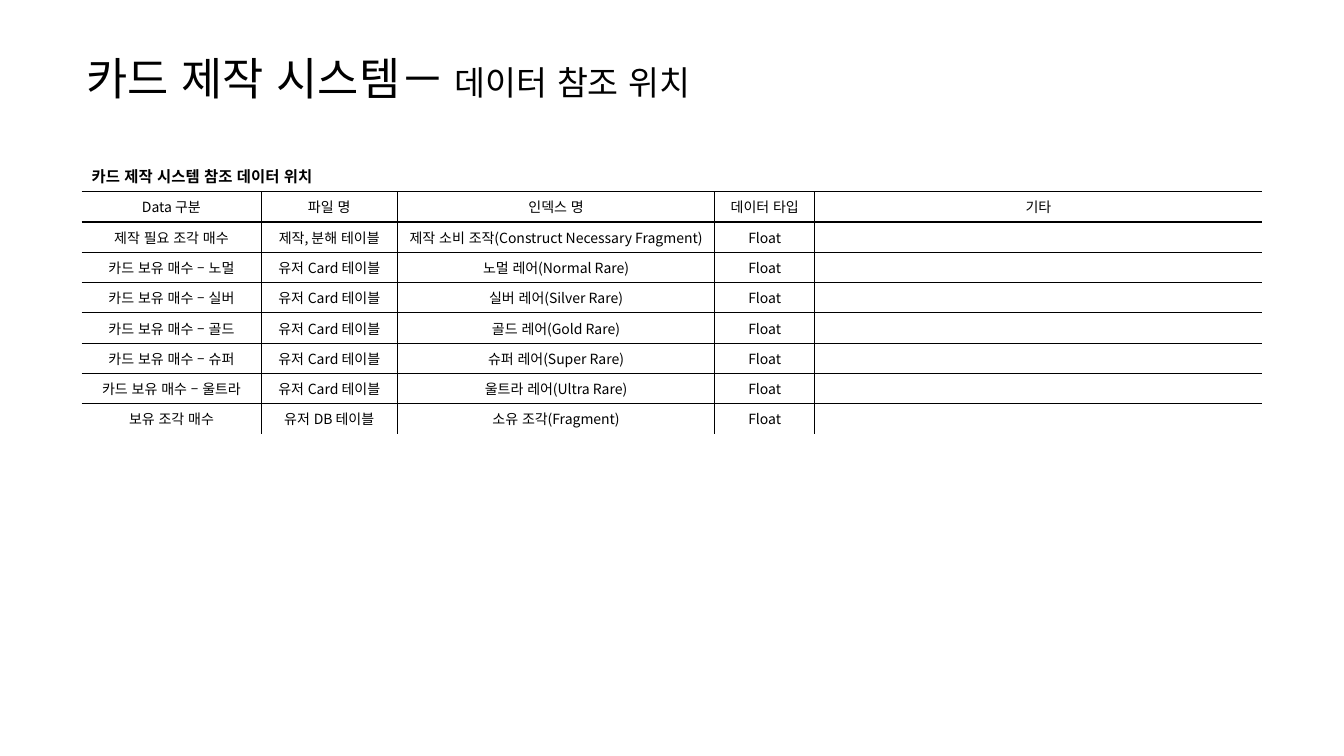
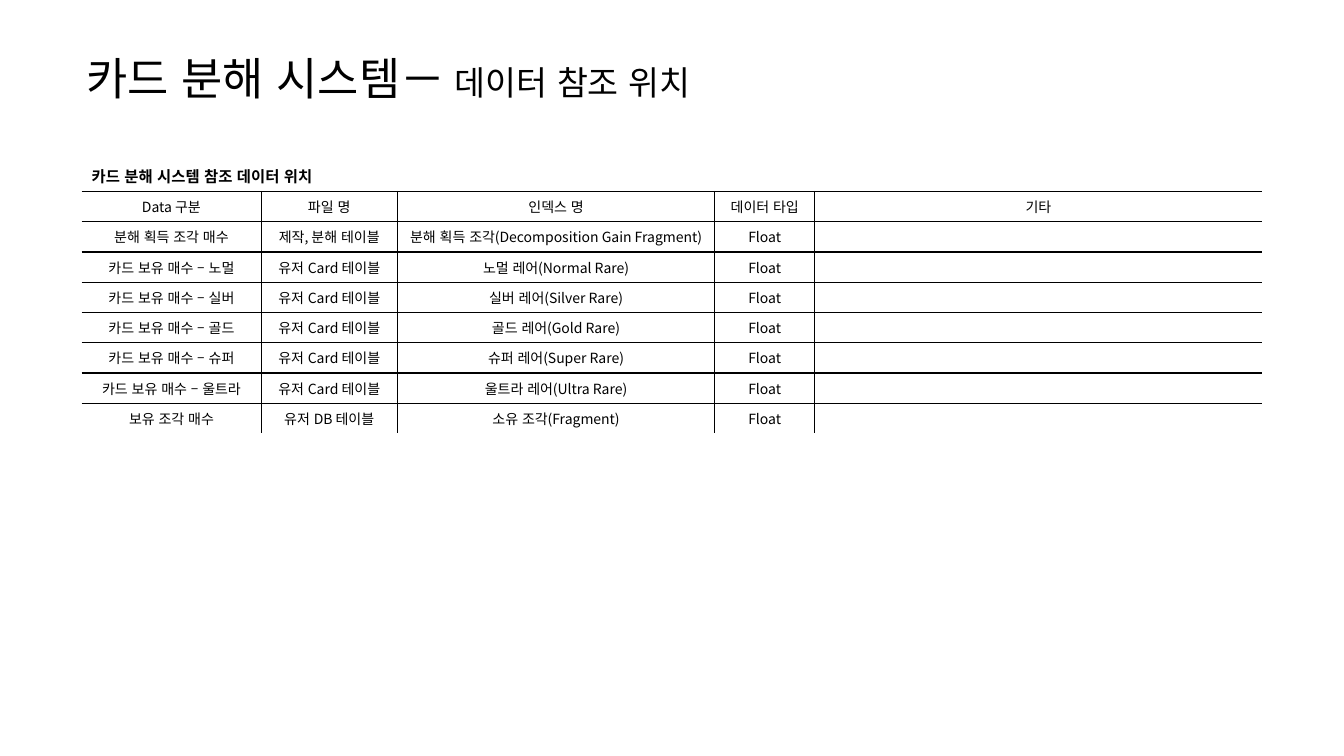
from lxml import etree
from pptx import Presentation
from pptx.dml.color import RGBColor
from pptx.enum import text as t
from pptx.enum.lang import MSO_LANGUAGE_ID
from pptx.oxml import ns
from pptx.util import Inches, Pt

BLACK = RGBColor(0, 0, 0)
WHITE = RGBColor(255, 255, 255)
FONT = "Noto Sans CJK KR"

TITLE_BOX = (0.76, 0.42, 11.81, 0.69)
TABLE_BOX = (0.81, 1.58, 11.71, 2.72)
COLUMN_WIDTHS = (1.78, 1.35, 3.15, 0.99, 4.44)
CAPTION_HEIGHT = 0.32

TITLE = {"size": Pt(32), "bold": False}
SUBTITLE = {"size": Pt(24), "bold": False}
CAPTION = {"size": Pt(11), "bold": True}
BODY = {"size": Pt(10), "bold": False}

HEADINGS = ("Data 구분", "파일 명", "인덱스 명", "데이터 타입", "기타")
GRADES = (("노멀", "Normal"), ("실버", "Silver"), ("골드", "Gold"),
          ("슈퍼", "Super"), ("울트라", "Ultra"))

# Each system: name, and the data and index of its first row
SYSTEMS = (
    ("카드 제작 시스템", "제작 필요 조각 매수",
     "제작 소비 조작(Construct Necessary Fragment)"),
    ("카드 분해 시스템", "분해 획득 조각 매수",
     "분해 획득 조각(Decomposition Gain Fragment)"),
)


def add_text(paragraph, words, style):
    """Add a run in the shared font, or size the paragraph if it is empty."""
    if not words:
        etree.SubElement(paragraph._p, ns.qn("a:endParaRPr"),
                         sz=str(style["size"].centipoints))
        return
    run = paragraph.add_run()
    run.text = words
    font = run.font
    values = {"name": FONT, "language_id": MSO_LANGUAGE_ID.KOREAN, **style}
    for name, value in values.items():
        setattr(font, name, value)
    font.color.rgb = BLACK
    etree.SubElement(run._r.get_or_add_rPr(), ns.qn("a:ea"), typeface=FONT)


def set_borders(cell, visible_sides):
    """Draw 1 pt lines on the given sides (from L, R, T, B), none elsewhere."""
    properties = cell._tc.get_or_add_tcPr()
    for side in "LRTB":
        line = etree.SubElement(properties, ns.qn(f"a:ln{side}"),
                                w=str(Pt(1)))
        if side in visible_sides:
            fill = etree.SubElement(line, ns.qn("a:solidFill"))
            etree.SubElement(fill, ns.qn("a:srgbClr"), val=str(BLACK))
        else:
            etree.SubElement(line, ns.qn("a:noFill"))


def inner_sides(row, column, last_row, last_column):
    """Name the sides that lie inside the table; the caption has no columns."""
    rules = {"L": row > 0 and column > 0,
             "R": row > 0 and column < last_column,
             "T": row > 0,
             "B": row < last_row}
    return [side for side, drawn in rules.items() if drawn]


def add_title(slide, box, system):
    shape = slide.shapes.add_textbox(*map(Inches, box))
    frame = shape.text_frame
    frame.word_wrap = True
    frame.vertical_anchor = t.MSO_ANCHOR.MIDDLE
    add_text(frame.paragraphs[0], f"{system}－", TITLE)
    add_text(frame.paragraphs[0], " 데이터 참조 위치", SUBTITLE)


def add_reference_table(slide, box, caption, rows):
    grid = [(caption,) + ("",) * (len(HEADINGS) - 1), HEADINGS, *rows]
    table = slide.shapes.add_table(len(grid), len(HEADINGS),
                                   *map(Inches, box)).table
    table.first_row = table.horz_banding = False
    for column, width in zip(table.columns, COLUMN_WIDTHS):
        column.width = Inches(width)
    row_height = (box[3] - CAPTION_HEIGHT) / (len(grid) - 1)

    for r, words in enumerate(grid):
        table.rows[r].height = Inches(row_height if r else CAPTION_HEIGHT)
        for c, word in enumerate(words):
            cell = table.cell(r, c)
            set_borders(cell, inner_sides(r, c, len(grid) - 1,
                                          len(words) - 1))
            cell.fill.background()
            paragraph = cell.text_frame.paragraphs[0]
            if r:
                cell.vertical_anchor = t.MSO_ANCHOR.MIDDLE
                paragraph.alignment = t.PP_ALIGN.CENTER
            add_text(paragraph, word, BODY if r else CAPTION)
    table.cell(0, 0).merge(table.cell(0, len(HEADINGS) - 1))


def add_system_slide(presentation, system, first_data, first_index):
    slide = presentation.slides.add_slide(presentation.slide_layouts[6])
    slide.background.fill.solid()
    slide.background.fill.fore_color.rgb = WHITE
    rows = [(first_data, "제작, 분해 테이블", first_index, "Float", "")]
    rows += [(f"카드 보유 매수 – {korean}", "유저 Card 테이블",
              f"{korean} 레어({english} Rare)", "Float", "")
             for korean, english in GRADES]
    rows.append(("보유 조각 매수", "유저 DB 테이블", "소유 조각(Fragment)",
                 "Float", ""))
    add_reference_table(slide, TABLE_BOX, f"{system} 참조 데이터 위치", rows)
    add_title(slide, TITLE_BOX, system)


def main():
    presentation = Presentation()
    presentation.slide_width = Inches(13.33)
    presentation.slide_height = Inches(7.5)
    for system in SYSTEMS:
        add_system_slide(presentation, *system)
    presentation.save("out.pptx")


if __name__ == "__main__":
    main()
